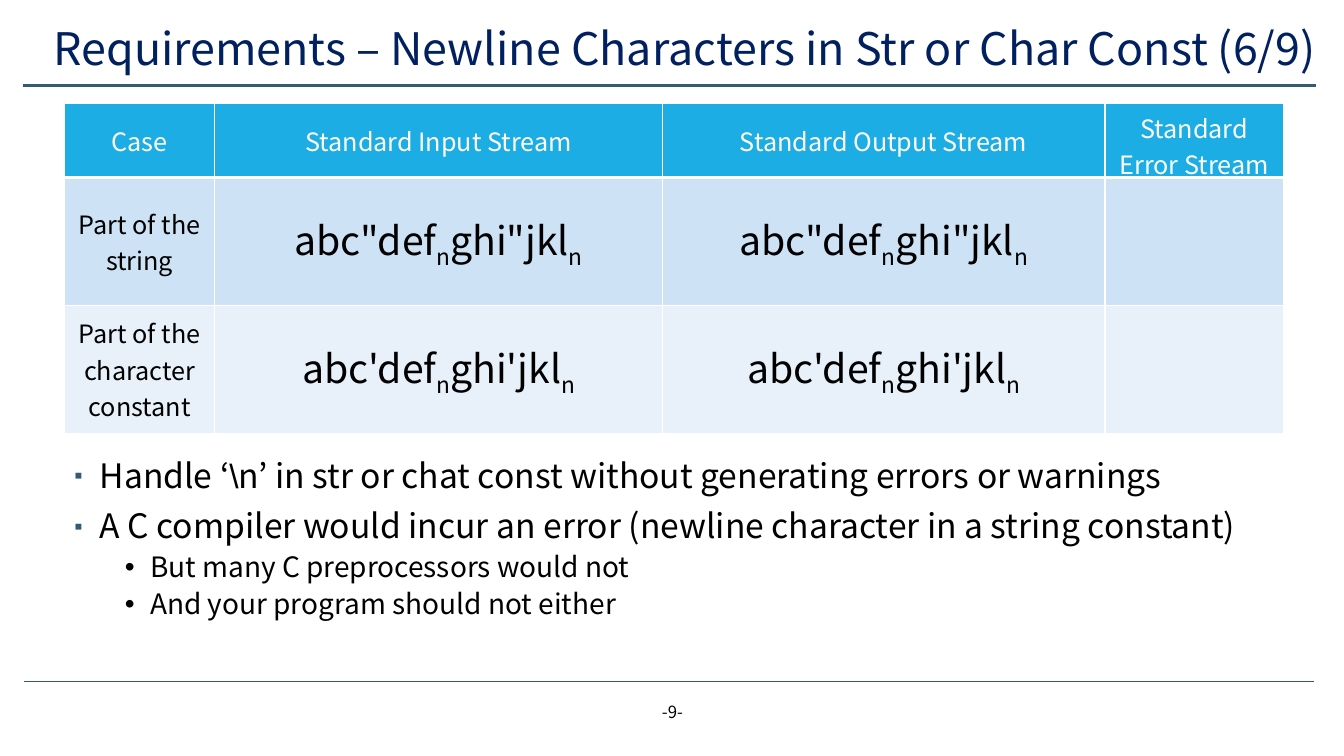
import pptx
import pptx.util
import pptx.dml.color
import pptx.enum.text
import pptx.enum.shapes
import pptx.oxml.ns
from lxml import etree

Inches, Pt = pptx.util.Inches, pptx.util.Pt
MID = pptx.enum.text.MSO_ANCHOR.MIDDLE
ALIGN = pptx.enum.text.PP_ALIGN

# Content
FONT = "Noto Sans CJK KR"
TITLE = "Requirements – Newline Characters in Str or Char Const (6/9)"
PAGE = "-9-"
HEAD = ["Case", "Standard Input Stream", "Standard Output Stream",
        "Standard Error Stream"]
# Every second part between bars is a subscript
TEXT = 'abc"def|n|ghi"jkl|n'
CHAR = "abc'def|n|ghi'jkl|n"
ROWS = [HEAD,
        ["Part of the string", TEXT, TEXT, ""],
        ["Part of the character constant", CHAR, CHAR, ""]]
FILLS = ["1CADE4", "CDE3F5", "E8F1FA"]
COLS = [1.49, 4.44, 4.39, 1.77]
HIGH = [0.73, 1.27, 1.27]
# Level and text of each point
POINTS = [
    (0, "Handle ‘\\n’ in str or chat const without generating errors or warnings"),
    (0, "A C compiler would incur an error (newline character in a string constant)"),
    (1, "But many C preprocessors would not"),
    (1, "And your program should not either"),
]
# Size, space before, indent, bullet, bullet colour, bullet size in percent
LEVELS = [(24, 10, 0.25, "▪", "335B74", 70),
          (20, 5, 0.75, "•", "000000", 100)]
# Left, right, height and width of each rule
RULES = [(0.24, 13.03, 6.76, 0.5), (0.23, 13.05, 0.85, 1.75)]


def rgb(code):
    return pptx.dml.color.RGBColor.from_string(code)


def style(font, size, code="000000"):
    font.name, font.size, font.bold = FONT, Pt(size), False
    font.color.rgb = rgb(code)


def add(node, tag, **attrs):
    child = etree.SubElement(node, pptx.oxml.ns.qn("a:" + tag))
    for key, val in attrs.items():
        child.set(key, str(val))
    return child


def edge(cell, side, width):
    line = add(cell._tc.get_or_add_tcPr(), "ln" + side, w=Pt(width))
    add(add(line, "solidFill"), "srgbClr", val="FFFFFF")


def bullet(para, indent, mark, code, size):
    props = para._p.get_or_add_pPr()
    props.set("marL", str(Inches(indent)))
    props.set("indent", str(Inches(-0.25)))
    add(add(props, "buClr"), "srgbClr", val=code)
    add(props, "buSzPct", val=size * 1000)
    add(props, "buFont", typeface="Arial")
    add(props, "buChar", char=mark)


def box(slide, *spot):
    shape = slide.shapes.add_textbox(*map(Inches, spot))
    shape.text_frame.word_wrap = True
    return shape


def rules(slide):
    for left, right, top, width in RULES:
        line = slide.shapes.add_connector(
            pptx.enum.shapes.MSO_CONNECTOR.STRAIGHT,
            Inches(left), Inches(top), Inches(right), Inches(top))
        line.line.color.rgb = rgb("335B74")
        line.line.width = Pt(width)
        add(line._element.spPr, "effectLst")


def title(slide):
    shape = slide.shapes.title
    shape.left, shape.top = Inches(0.43), Inches(0.19)
    shape.width, shape.height = Inches(12.9), Inches(0.63)
    frame = shape.text_frame
    frame.text, frame.vertical_anchor = TITLE, MID
    frame.auto_size = pptx.enum.text.MSO_AUTO_SIZE.NONE
    para = frame.paragraphs[0]
    para.alignment, para.line_spacing = ALIGN.LEFT, 0.9
    style(para.font, 32, "002060")


def table(slide):
    grid = slide.shapes.add_table(
        len(ROWS), len(COLS), Inches(0.64), Inches(1.03),
        Inches(sum(COLS)), Inches(sum(HIGH))).table
    grid.first_row = grid.horz_banding = False
    for col, width in zip(grid.columns, COLS):
        col.width = Inches(width)
    for r, texts in enumerate(ROWS):
        grid.rows[r].height = Inches(HIGH[r])
        for c, text in enumerate(texts):
            cell = grid.cell(r, c)
            # Borders come before the fill in the cell properties
            for side in "LRTB":
                heavy = (r, side) in [(0, "B"), (1, "T")]
                edge(cell, side, 3 if heavy else 1)
            cell.fill.solid()
            cell.fill.fore_color.rgb = rgb(FILLS[r])
            cell.vertical_anchor = MID
            para = cell.text_frame.paragraphs[0]
            para.alignment = ALIGN.CENTER
            style(para.font, 28 if "|" in text else 18,
                  "000000" if r else "FFFFFF")
            for i, part in enumerate(text.split("|") if text else []):
                run = para.add_run()
                run.text = part
                if i % 2:
                    run._r.get_or_add_rPr().set("baseline", "-25000")


def points(slide):
    shape = box(slide, 0.64, 4.51, 12, 2.1)
    shape.fill.solid()
    shape.fill.fore_color.rgb = rgb("FFFFFF")
    frame = shape.text_frame
    frame.auto_size = pptx.enum.text.MSO_AUTO_SIZE.TEXT_TO_FIT_SHAPE
    for i, (level, text) in enumerate(POINTS):
        para = frame.add_paragraph() if i else frame.paragraphs[0]
        size, before, *marks = LEVELS[level]
        para.level, para.line_spacing = level, 0.9
        para.space_before = Pt(before)
        bullet(para, *marks)
        # The backslash has its own font
        for part in text.replace("\\", "|\\|").split("|"):
            run = para.add_run()
            run.text = part
            style(run.font, size)
            if part == "\\":
                run.font.name = "Arial"


def page(slide):
    frame = box(slide, 5.17, 6.91, 3, 0.4).text_frame
    frame.text = PAGE
    para = frame.paragraphs[0]
    para.alignment = ALIGN.CENTER
    style(para.font, 12)


def main():
    deck = pptx.Presentation()
    deck.slide_width, deck.slide_height = Inches(13.33), Inches(7.5)
    slide = deck.slides.add_slide(deck.slide_layouts[5])
    for draw in (rules, page, title, points, table):
        draw(slide)
    deck.save("out.pptx")


if __name__ == "__main__":
    main()
